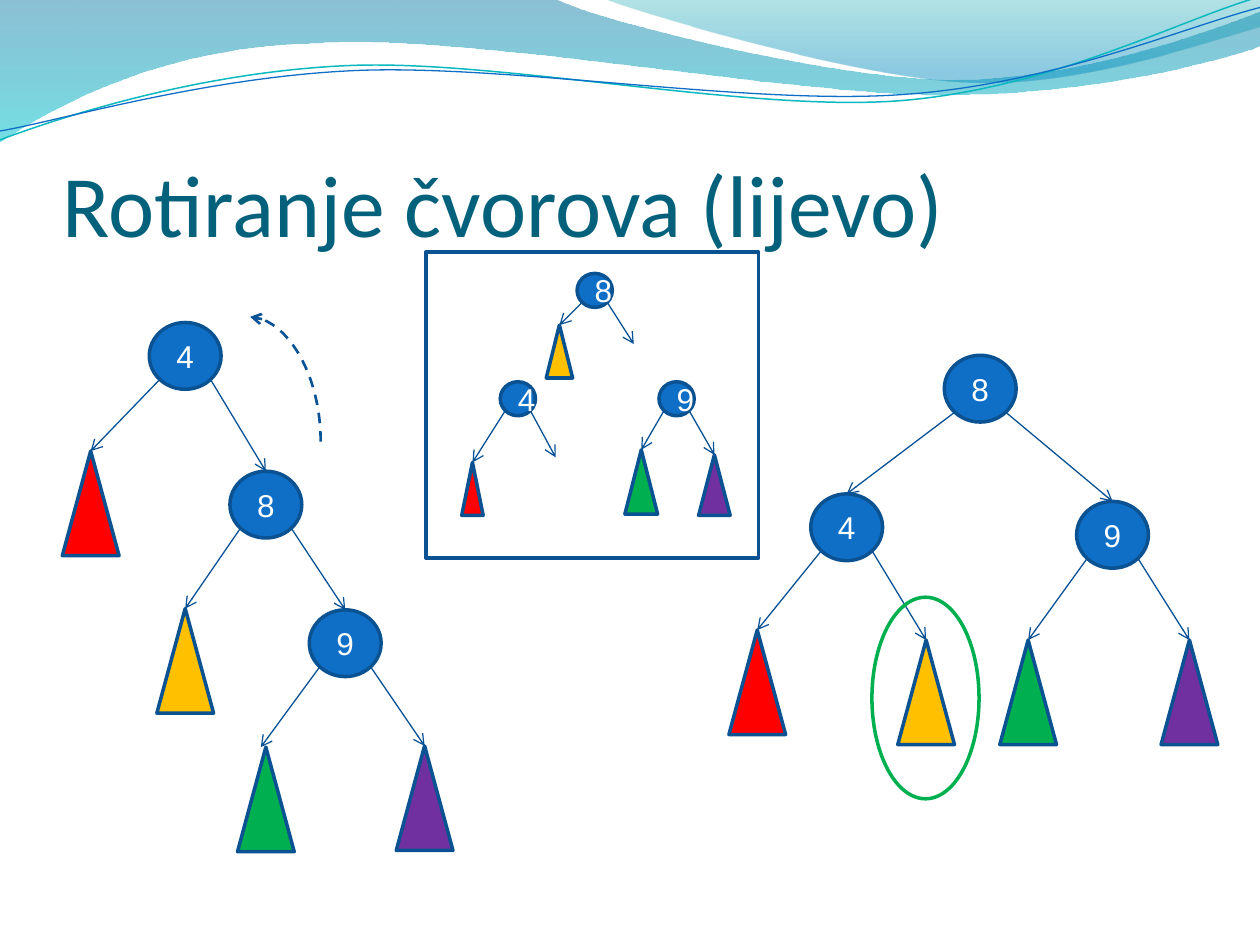
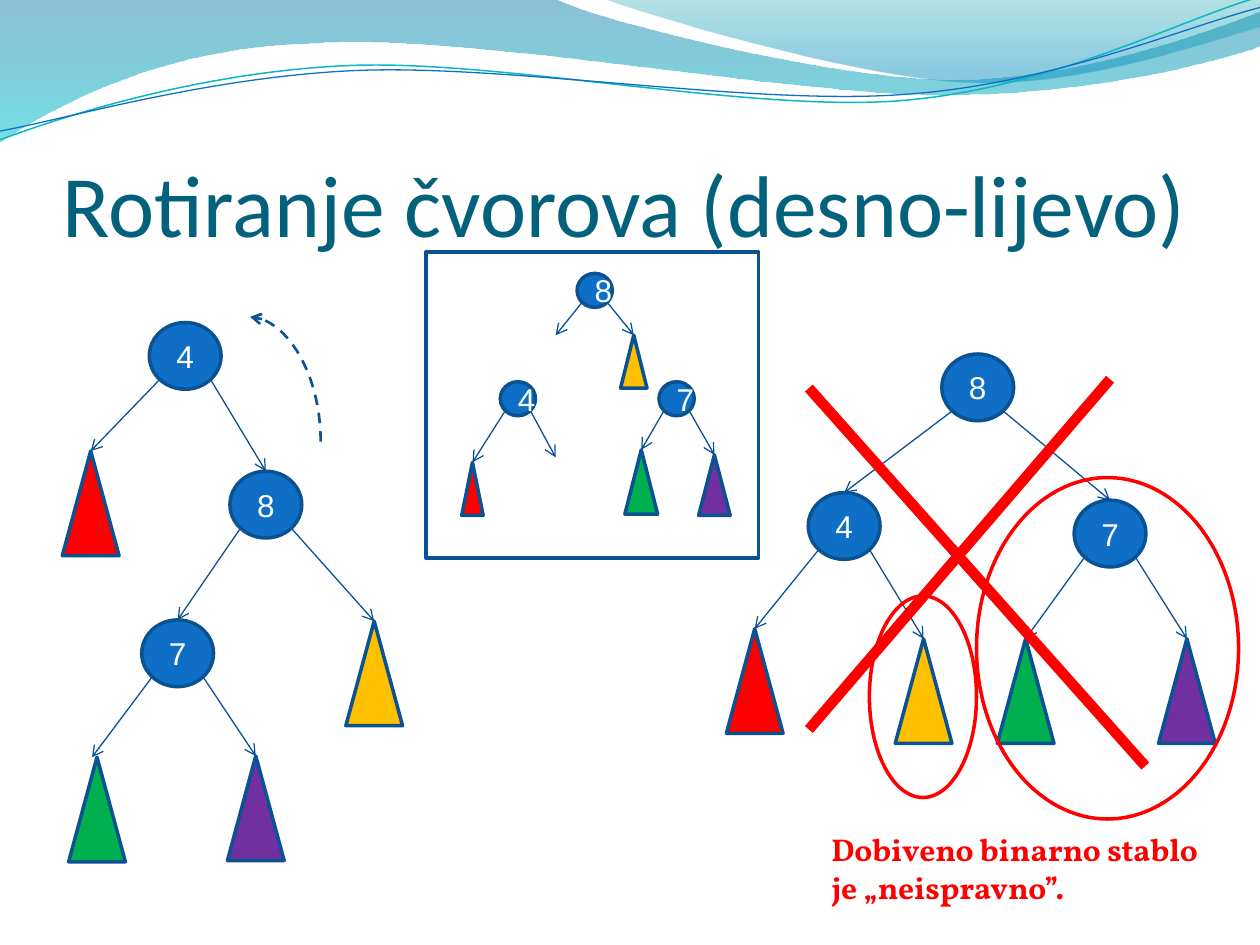
from dataclasses import dataclass
from math import cos, radians, sin
from typing import Optional
from lxml import etree
from pptx import Presentation
from pptx.dml.color import RGBColor
from pptx.enum.dml import MSO_LINE
from pptx.enum.shapes import MSO_CONNECTOR, MSO_SHAPE
from pptx.enum.text import MSO_ANCHOR, PP_ALIGN
from pptx.oxml.ns import qn
from pptx.util import Inches, Pt

STRAIGHT, CURVE = MSO_CONNECTOR.STRAIGHT, MSO_CONNECTOR.CURVE
OVAL, TRIANGLE, RECTANGLE = MSO_SHAPE.OVAL, MSO_SHAPE.ISOSCELES_TRIANGLE, MSO_SHAPE.RECTANGLE
DASH, MIDDLE, BOTTOM, CENTER = MSO_LINE.DASH, MSO_ANCHOR.MIDDLE, MSO_ANCHOR.BOTTOM, PP_ALIGN.CENTER


@dataclass(frozen=True)
class Theme:
    node: str = "0F6FC6"
    outline: str = "0B5292"
    arrow: str = "095295"
    title: str = "04617B"
    white: str = "FFFFFF"
    red: str = "FF0000"
    yellow: str = "FFC000"
    green: str = "00B050"
    purple: str = "7030A0"
    teal_line: str = "0AB8BF"
    big_wave: tuple = ((0, "0074A1", 45), (1, "00C6CF", 55))
    right_wave: tuple = ((0, "00A1A9", 30), (0.8, "008BBF", 45))
    title_font: str = "Calibri"
    node_font: str = "Arial"
    note_font: str = "Vollkorn"
    title_size: float = 50
    text_size: float = 18
    shape_line: float = 2
    arrow_line: float = 0.75
    arc_line: float = 1.5
    cross_line: float = 6
    curve_tilt: float = 2.7


THEME = Theme()


@dataclass
class Leaf:
    x: float
    y: float
    fill: Optional[str] = None
    width: float = 0.45
    height: float = 0.83
    arrow_shift: float = 0


@dataclass
class Node:
    label: str
    x: float
    y: float
    left: object
    right: object
    small: bool = False
    arrow_shift: float = 0


BIG_WAVE = [
    (0, 0), (4.4, -0.01),
    (4.76, 0.17, 6.64, 0.63, 7.58, 0.63), (8.53, 0.63, 9.58, 0.26, 10, 0.09),
    (10.01, 0.36),
    (9.83, 0.44, 8.7, 0.76, 7.46, 0.75), (6.22, 0.75, 3.82, 0.28, 2.57, 0.34),
    (1.29, 0.36, 0.46, 0.83, -0.01, 1.13), (0, 0),
]
RIGHT_WAVE = [
    (4.79, -0.01),
    (5.09, 0.11, 6.82, 0.62, 7.69, 0.65), (8.56, 0.69, 9.61, 0.32, 10, 0.21),
    (10, 0), (4.79, -0.01),
]
TEAL_CURVE = [
    (0, 1.11),
    (0.48, 0.93, 1.58, 0.57, 2.77, 0.52), (3.95, 0.47, 5.93, 0.89, 7.13, 0.8),
    (8.33, 0.71, 9.38, 0.15, 9.98, -0.02),
]
BLUE_CURVE = [
    (0, 1.04),
    (0.47, 0.96, 1.64, 0.61, 2.83, 0.56), (4.03, 0.51, 5.97, 0.84, 7.17, 0.75),
    (8.36, 0.67, 9.41, 0.21, 10, 0.06),
]


def turn(segments, center, degrees):
    c, s = cos(radians(degrees)), sin(radians(degrees))
    turned = []
    for segment in segments:
        pairs = [(x - center[0], y - center[1]) for x, y in zip(segment[::2], segment[1::2])]
        turned.append(tuple(value for x, y in pairs
                            for value in (center[0] + x * c - y * s, center[1] + x * s + y * c)))
    return turned


class Painter:
    def __init__(self, deck, theme):
        self.deck, self.theme = deck, theme
        self.page = None

    def new_page(self, title):
        theme = self.theme
        self.page = self.deck.slides.add_slide(self.deck.slide_layouts[6])
        self.wave(BIG_WAVE, theme.big_wave)
        self.wave(RIGHT_WAVE, theme.right_wave)
        curves = [self.curve(TEAL_CURVE, (4.99, 0.58), theme.teal_line, 0.85),
                  self.curve(BLUE_CURVE, (5, 0.59), theme.node, 0.75)]
        self.page.shapes.add_group_shape(curves)
        frame = self.text(title, 0.5, 0.77, 9, 1.25, theme.title_font,
                          theme.title_size, theme.title)
        frame.vertical_anchor = BOTTOM
        frame.margin_left = frame.margin_right = frame.margin_bottom = 0

    def outline(self, line, color, width):
        line.color.rgb = RGBColor.from_string(color)
        line.width = Pt(width)

    def style_font(self, font, name, size, color, bold=False):
        font.name, font.size, font.bold = name, Pt(size), bold
        font.color.rgb = RGBColor.from_string(color)

    def freeform(self, segments, close):
        points = [(Inches(x), Inches(y)) for segment in segments
                  for x, y in zip(segment[::2], segment[1::2])]
        builder = self.page.shapes.build_freeform(*points[0])
        builder.add_line_segments(points[1:], close=close)
        shape = builder.convert_to_shape()
        shape.shadow.inherit = False
        steps = iter(list(shape._element.spPr.iter(qn("a:lnTo"))))
        for segment in segments[1:]:
            step = next(steps)
            if len(segment) == 6:
                step.tag_name = None
                bend = etree.Element(qn("a:cubicBezTo"))
                step.addprevious(bend)
                for part in (step, next(steps), next(steps)):
                    bend.append(part[0])
                    part.getparent().remove(part)
        return shape

    def wave(self, segments, stops):
        shape = self.freeform(segments, True)
        shape.line.fill.background()
        shape.fill.gradient()
        shape.fill.gradient_angle = 270
        for stop, (position, color, _) in zip(shape.fill.gradient_stops, stops):
            stop.position = position
            stop.color.rgb = RGBColor.from_string(color)
        colors = shape._element.spPr.iter(qn("a:srgbClr"))
        for element, (_, _, opacity) in zip(list(colors), stops):
            etree.SubElement(element, qn("a:alpha")).set("val", str(opacity * 1000))

    def curve(self, segments, center, color, width):
        tilt = self.theme.curve_tilt
        shape = self.freeform(turn(segments, center, tilt), False)
        shape.rotation = 360 - tilt
        shape.fill.background()
        self.outline(shape.line, color, width)
        return shape

    def text(self, words, x, y, width, height, font, size, color, bold=False):
        box = self.page.shapes.add_textbox(Inches(x), Inches(y), Inches(width), Inches(height))
        frame = box.text_frame
        frame.word_wrap = True
        para = frame.paragraphs[0]
        para.text = words
        self.style_font(para.font, font, size, color, bold)
        return frame

    def shape(self, kind, x, y, width, height, fill=None, line=None):
        shape = self.page.shapes.add_shape(kind, Inches(x), Inches(y),
                                           Inches(width), Inches(height))
        shape.shadow.inherit = False
        if fill:
            shape.fill.solid()
            shape.fill.fore_color.rgb = RGBColor.from_string(fill)
        else:
            shape.fill.background()
        self.outline(shape.line, line or self.theme.outline, self.theme.shape_line)
        return shape

    def line(self, start, end, color, width, arrow=False, kind=STRAIGHT):
        connector = self.page.shapes.add_connector(
            kind, *(Inches(value) for value in (*start, *end)))
        self.outline(connector.line, color, width)
        if kind == CURVE:
            connector.line.dash_style = DASH
        properties = connector._element.spPr
        if arrow:
            etree.SubElement(properties.find(qn("a:ln")), qn("a:tailEnd")).set("type", "arrow")
        etree.SubElement(properties, qn("a:effectLst"))
        return connector

    def rotation_arc(self):
        arc = self.line((1.77, 3.29), (2.76, 2.73), self.theme.arrow,
                        self.theme.arc_line, True, CURVE)
        properties = arc._element.spPr
        properties.find(qn("a:xfrm")).set("rot", str(270 * 60000))
        properties.find(qn("a:prstGeom")).set("prst", "curvedConnector2")

    def tree(self, item):
        theme = self.theme
        if isinstance(item, Leaf):
            if item.fill:
                self.shape(TRIANGLE, item.x - item.width / 2, item.y,
                           item.width, item.height, item.fill)
            return
        width, height, reach, drop = (0.28, 0.27, 0.1, 0.23) if item.small else (0.57, 0.53, 0.2, 0.45)
        for child, side in ((item.left, -1), (item.right, 1)):
            self.line((item.x + side * reach, item.y + drop),
                      (child.x + child.arrow_shift, child.y),
                      theme.arrow, theme.arrow_line, True)
        circle = self.shape(OVAL, item.x - width / 2, item.y, width, height, theme.node)
        frame = circle.text_frame
        frame.vertical_anchor = MIDDLE
        para = frame.paragraphs[0]
        para.text, para.alignment = item.label, CENTER
        self.style_font(para.font, theme.node_font, theme.text_size, theme.white)
        self.tree(item.left)
        self.tree(item.right)

    def start_tree(self, pivot):
        self.tree(Node("4", 1.47, 2.56, Leaf(0.72, 3.58, self.theme.red), pivot))
        self.rotation_arc()

    def rotated_tree(self, last, x, y, ring):
        theme = self.theme
        self.tree(Node(
            "8", x, y,
            Node("4", x - 1.06, y + 1.1,
                 Leaf(x - 1.77, y + 2.18, theme.red), Leaf(x - 0.43, y + 2.26, theme.yellow)),
            Node(last, x + 1.05, y + 1.16,
                 Leaf(x + 0.38, y + 2.26, theme.green), Leaf(x + 1.66, y + 2.26, theme.purple))))
        self.shape(OVAL, x - 0.86, y + 1.92, 0.85, 1.6, line=ring)

    def inset(self, last, left, right):
        theme = self.theme
        self.tree(Node("4", 4.11, 3.03, Leaf(3.75, 3.67, theme.red, 0.17, 0.42),
                       Leaf(4.41, 3.63), True))
        self.tree(Node("8", 4.72, 2.17, left, right, True))
        self.tree(Node(last, 5.37, 3.03, Leaf(5.09, 3.57, theme.green, 0.26, 0.51),
                       Leaf(5.67, 3.61, theme.purple, 0.25, 0.48), True))
        self.shape(RECTANGLE, 3.38, 2, 2.64, 2.43)


deck = Presentation()
deck.slide_width, deck.slide_height = Inches(10), Inches(7.5)
painter = Painter(deck, THEME)

painter.new_page("Rotiranje čvorova (lijevo)")
painter.start_tree(Node(
    "8", 2.11, 3.74,
    Leaf(1.47, 4.83, THEME.yellow),
    Node("9", 2.74, 4.84, Leaf(2.11, 5.93, THEME.green, arrow_shift=-0.04),
         Leaf(3.37, 5.92, THEME.purple))))
painter.rotated_tree("9", 7.78, 2.82, THEME.green)
painter.inset("9", Leaf(4.44, 2.58, THEME.yellow, 0.21, 0.42), Leaf(5.03, 2.73))

painter.new_page("Rotiranje čvorova (desno-lijevo)")
painter.start_tree(Node(
    "8", 2.11, 3.74,
    Node("7", 1.41, 4.92, Leaf(0.77, 6.01, THEME.green, arrow_shift=-0.04),
         Leaf(2.03, 6, THEME.purple)),
    Leaf(2.97, 4.93, THEME.yellow)))
painter.rotated_tree("7", 7.76, 2.81, THEME.red)
painter.inset("7", Leaf(4.41, 2.66), Leaf(5.03, 2.66, THEME.yellow, 0.21, 0.42))
painter.line((6.42, 3.08), (9.09, 6.08), THEME.red, THEME.cross_line)
painter.line((8.81, 3.01), (6.42, 5.79), THEME.red, THEME.cross_line)
painter.text("Dobiveno binarno stablo je „neispravno”.", 6.5, 6.54, 3.2, 0.71,
             THEME.note_font, THEME.text_size, THEME.red, True)
painter.shape(OVAL, 7.75, 3.79, 2.08, 2.71, line=THEME.red)

deck.save("out.pptx")
